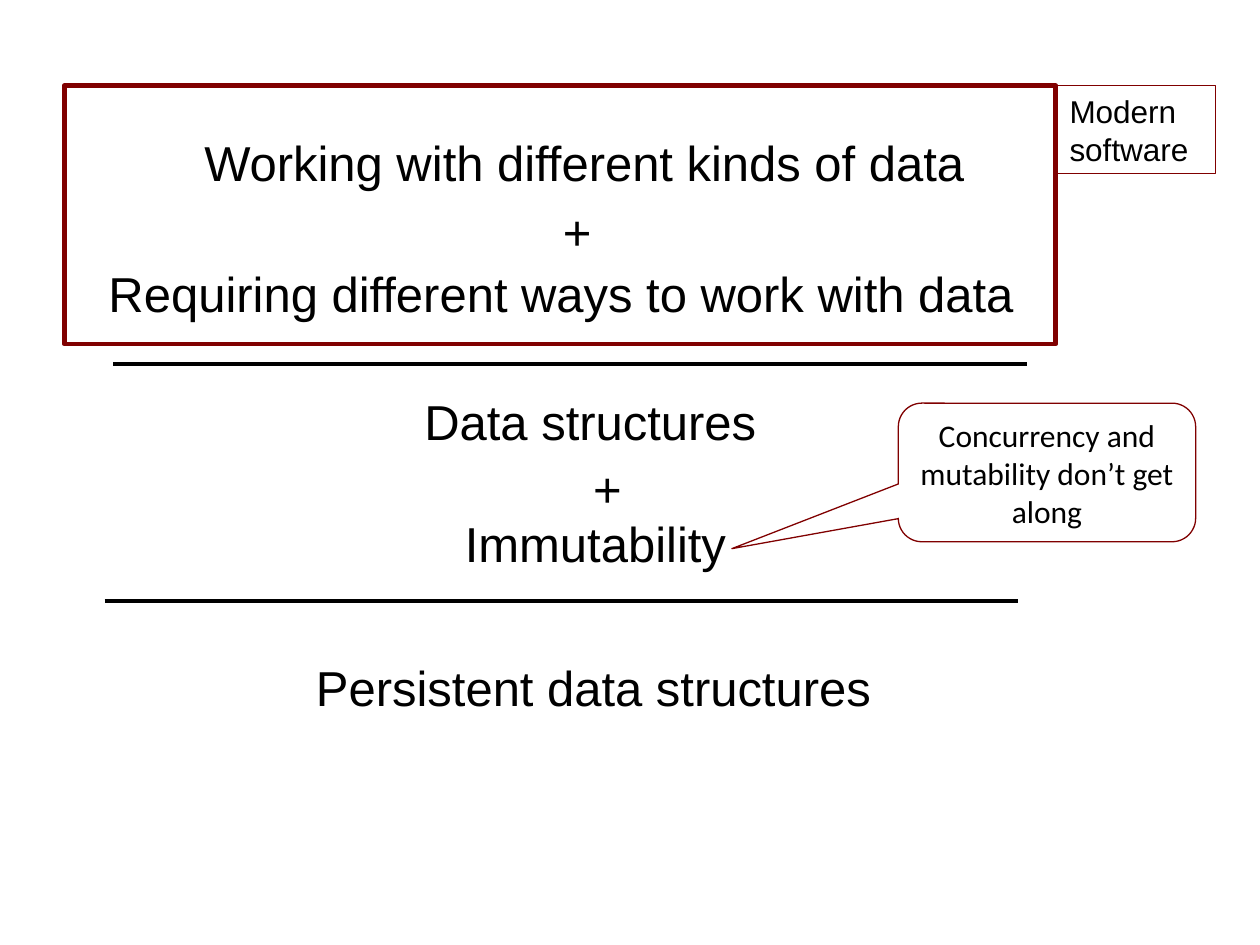
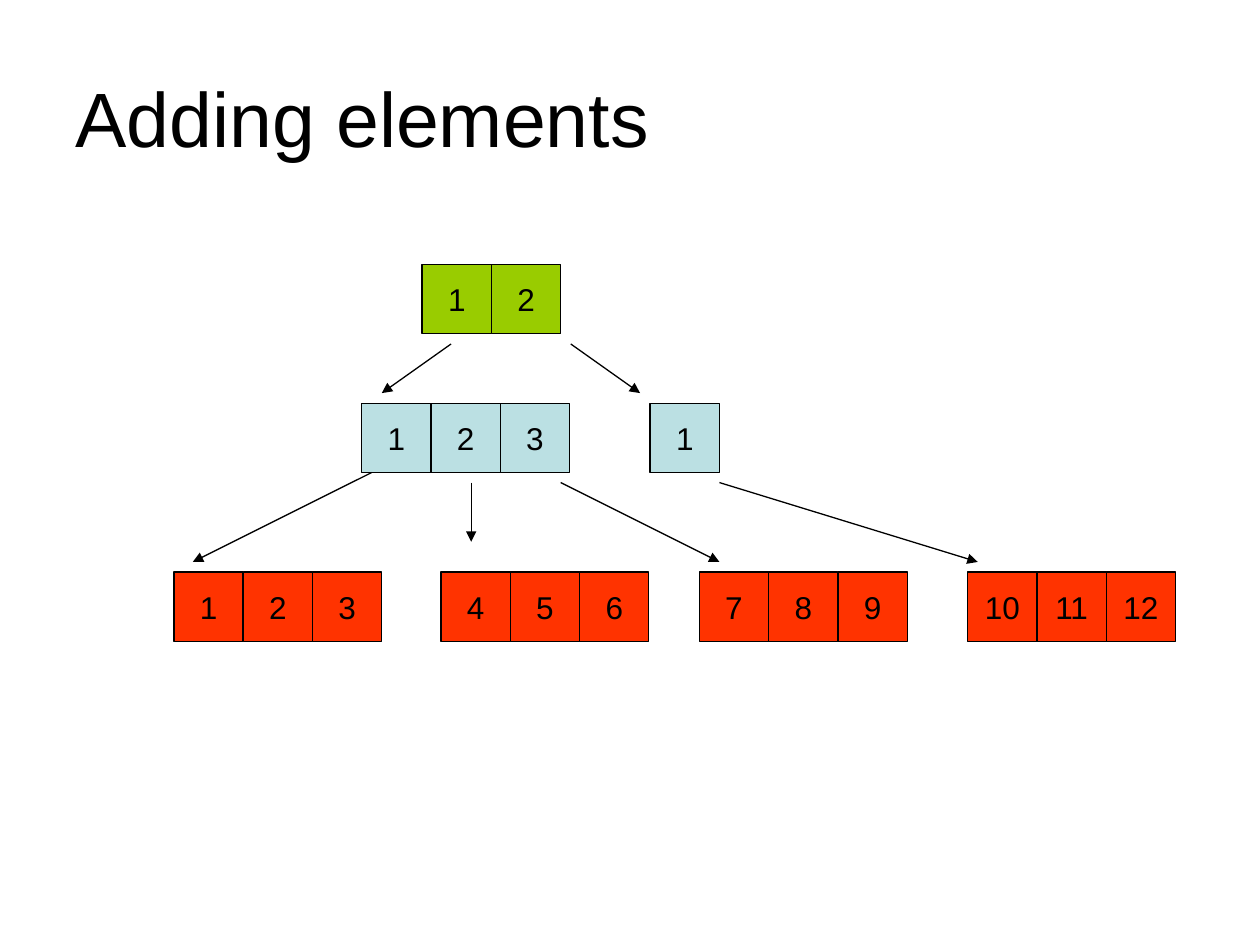
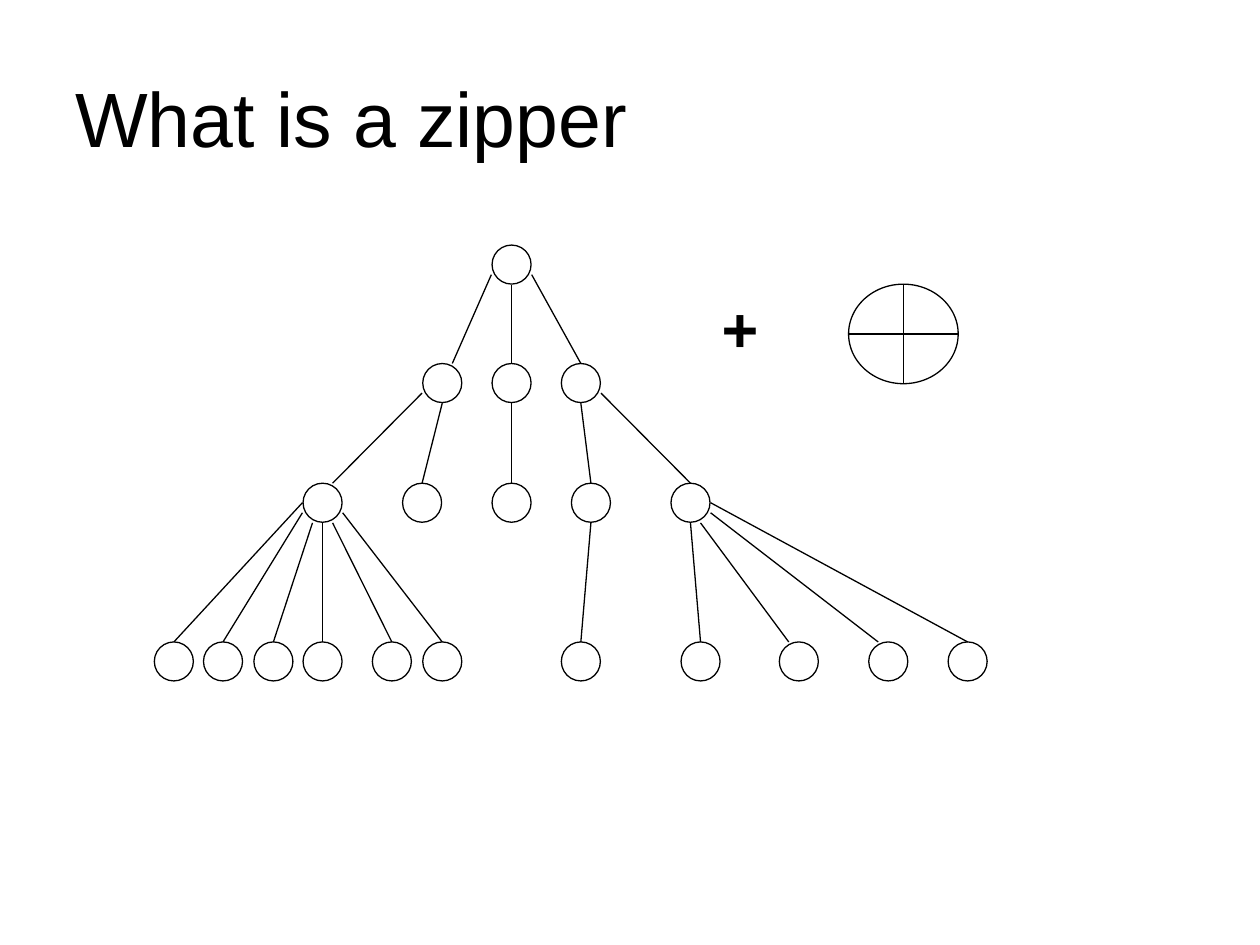
from lxml import etree
from pptx import Presentation
from pptx.dml.color import RGBColor
from pptx.enum import shapes, text
from pptx.oxml import ns
from pptx.util import Inches, Pt

COLORS = {"ink": "000000", "paper": "FFFFFF", "accent": "800000",
          "root": "99CC00", "branch": "BBE0E3", "leaf": "FF3300"}
SHAPE = shapes.MSO_SHAPE
ALIGN = text.PP_ALIGN
ANCHOR = text.MSO_ANCHOR
CELL = 0.55
CIRCLE = 0.31
STEP = 0.08


class Deck:
    def __init__(self):
        self.prs = Presentation()
        self.prs.slide_width, self.prs.slide_height = Inches(10), Inches(7.5)
        self.s = None

    def color(self, name):
        return RGBColor.from_string(COLORS[name])

    def new_slide(self, title=None):
        self.s = self.prs.slides.add_slide(self.prs.slide_layouts[6])
        if title:
            self.label(title, 0.5, 0.3, 9, 1.25, size=44, wrap=True,
                       align=ALIGN.LEFT, anchor=ANCHOR.MIDDLE)

    def set_text(self, sp, words, size, font="Arial", align=ALIGN.LEFT,
                 anchor=ANCHOR.TOP, wrap=True, bold=False, digits=False):
        tf = sp.text_frame
        tf.word_wrap, tf.vertical_anchor = wrap, anchor
        p = tf.paragraphs[0]
        p.text, p.alignment = words, align
        if digits:
            p._p.get_or_add_pPr().set("rtl", "1")
        p.font.size, p.font.name, p.font.bold = Pt(size), font, bold
        p.font.color.rgb = self.color("ink")
        if digits:
            cs = etree.SubElement(p.font._rPr, ns.qn("a:cs"))
            cs.set("typeface", "Arial")
        return p

    def label(self, words, x, y, w, h=0.57, size=28, align=ALIGN.RIGHT,
              wrap=False, **style):
        sp = self.s.shapes.add_textbox(Inches(x), Inches(y), Inches(w), Inches(h))
        return self.set_text(sp, words, size, align=align, wrap=wrap, **style)

    def shape(self, kind, x, y, w, h, fill=None, line="ink", weight=0.75):
        sp = self.s.shapes.add_shape(kind, Inches(x), Inches(y), Inches(w), Inches(h))
        sp.shadow.inherit = False
        if fill:
            sp.fill.solid()
            sp.fill.fore_color.rgb = self.color(fill)
        else:
            sp.fill.background()
        sp.line.color.rgb = self.color(line)
        sp.line.width = Pt(weight)
        return sp

    def line(self, x1, y1, x2, y2, weight=0.75, arrow=False):
        c = self.s.shapes.add_connector(
            shapes.MSO_CONNECTOR.STRAIGHT, Inches(x1), Inches(y1), Inches(x2), Inches(y2))
        c.line.color.rgb = self.color("ink")
        c.line.width = Pt(weight)
        if arrow:
            etree.SubElement(c.line._get_or_add_ln(), ns.qn("a:tailEnd")).set("type", "triangle")
        etree.SubElement(c._element.spPr, ns.qn("a:effectLst"))

    def cells(self, x, y, numbers, fill):
        for i, number in enumerate(numbers):
            sp = self.shape(SHAPE.RECTANGLE, x + i * CELL, y, CELL, CELL, fill)
            self.set_text(sp, str(number), 18, "Calibri", ALIGN.CENTER,
                          ANCHOR.MIDDLE, wrap=False, digits=True)

    def circle(self, cx, cy, w=CIRCLE, h=CIRCLE):
        self.shape(SHAPE.OVAL, cx - w / 2, cy - h / 2, w, h, "paper")


def ingredients(d):
    d.new_slide()
    for words, x, y, w in [
            ("Working with different kinds of data", 1.51, 1, 6.24),
            ("+", 4.37, 1.55, 0.42),
            ("Requiring different ways to work with data", 0.75, 2.04, 7.39),
            ("Data structures", 3.27, 3.06, 2.83),
            ("+", 4.61, 3.59, 0.42),
            ("Persistent data structures", 2.41, 5.17, 4.6)]:
        d.label(words, x, y, w)
    d.label("Immutability", 3.59, 4.08, 2.27, 0.52).line_spacing = 0.9
    for x, y in [(0.9, 2.89), (0.83, 4.77)]:
        d.line(x, y, x + 7.25, y, 2.5)
    d.shape(SHAPE.RECTANGLE, 0.51, 0.68, 7.87, 2.05, line="accent", weight=2.75)
    sp = d.shape(SHAPE.RECTANGLE, 8.39, 0.68, 1.26, 0.7, line="accent")
    d.set_text(sp, "Modern software", 18)
    sp = d.shape(SHAPE.ROUNDED_RECTANGULAR_CALLOUT, 7.13, 3.2, 2.36, 1.1, line="accent")
    for i, value in enumerate([-1.06, 0.55, 0.17]):
        sp.adjustments[i] = value
    d.set_text(sp, "Concurrency and mutability don’t get along", 18, "Calibri", ALIGN.CENTER)


def adding_elements(d):
    d.new_slide("Adding elements")
    d.cells(3.35, 2.1, [1, 2], "root")
    d.cells(2.87, 3.2, [1, 2, 3], "branch")
    d.cells(5.16, 3.2, [1], "branch")
    for i, x in enumerate([1.38, 3.5, 5.55, 7.68]):
        d.cells(x, 4.54, range(3 * i + 1, 3 * i + 4), "leaf")
    for ends in [(3.58, 2.73, 3.03, 3.12), (4.53, 2.73, 5.08, 3.12),
                 (2.95, 3.75, 1.53, 4.46), (3.74, 3.83, 3.74, 4.3),
                 (4.45, 3.83, 5.71, 4.46), (5.71, 3.83, 7.76, 4.46)]:
        d.line(*ends, arrow=True)


def zipper(d):
    d.new_slide("What is a zipper")
    root_x, root_y = 4.06, 2.1
    # child centre, parent index, start steps right and down, end steps right
    levels = [
        (3.04, [(3.51, 0, -2, 1, 1), (4.06, 0, 0, 2, 0), (4.61, 0, 2, 1, 0)]),
        (3.99, [(2.56, 0, -2, 1, 1), (3.35, 0, 0, 2, 0), (4.06, 1, 0, 2, 0),
                (4.69, 2, 0, 2, 0), (5.48, 2, 2, 1, 0)]),
        (5.25, [(1.38, 0, -2, 0, 0), (1.77, 0, -2, 1, 0), (2.17, 0, -1, 2, 0),
                (2.56, 0, 0, 2, 0), (3.11, 0, 1, 2, 0), (3.51, 0, 2, 1, 0),
                (4.61, 3, 0, 2, 0), (5.56, 4, 0, 2, 0), (6.34, 4, 1, 2, -1),
                (7.05, 4, 2, 1, -1), (7.68, 4, 2, 0, 0)])]
    d.circle(root_x, root_y)
    parents, parent_y = [root_x], root_y
    for y, children in levels:
        for x, parent, right, down, end in children:
            d.circle(x, y)
            d.line(parents[parent] + right * STEP, parent_y + down * STEP,
                   x + end * STEP, y - CIRCLE / 2)
        parents, parent_y = [child[0] for child in children], y
    d.circle(7.17, 2.65, 0.87, 0.79)
    d.line(6.73, 2.65, 7.6, 2.65)
    d.line(7.17, 2.25, 7.17, 3.04)
    d.label("+", 5.63, 2.25, 1.34, 0.7, size=36, align=ALIGN.LEFT, wrap=True, bold=True)


def main():
    d = Deck()
    for build in (ingredients, adding_elements, zipper):
        build(d)
    d.prs.save("out.pptx")


if __name__ == "__main__":
    main()
